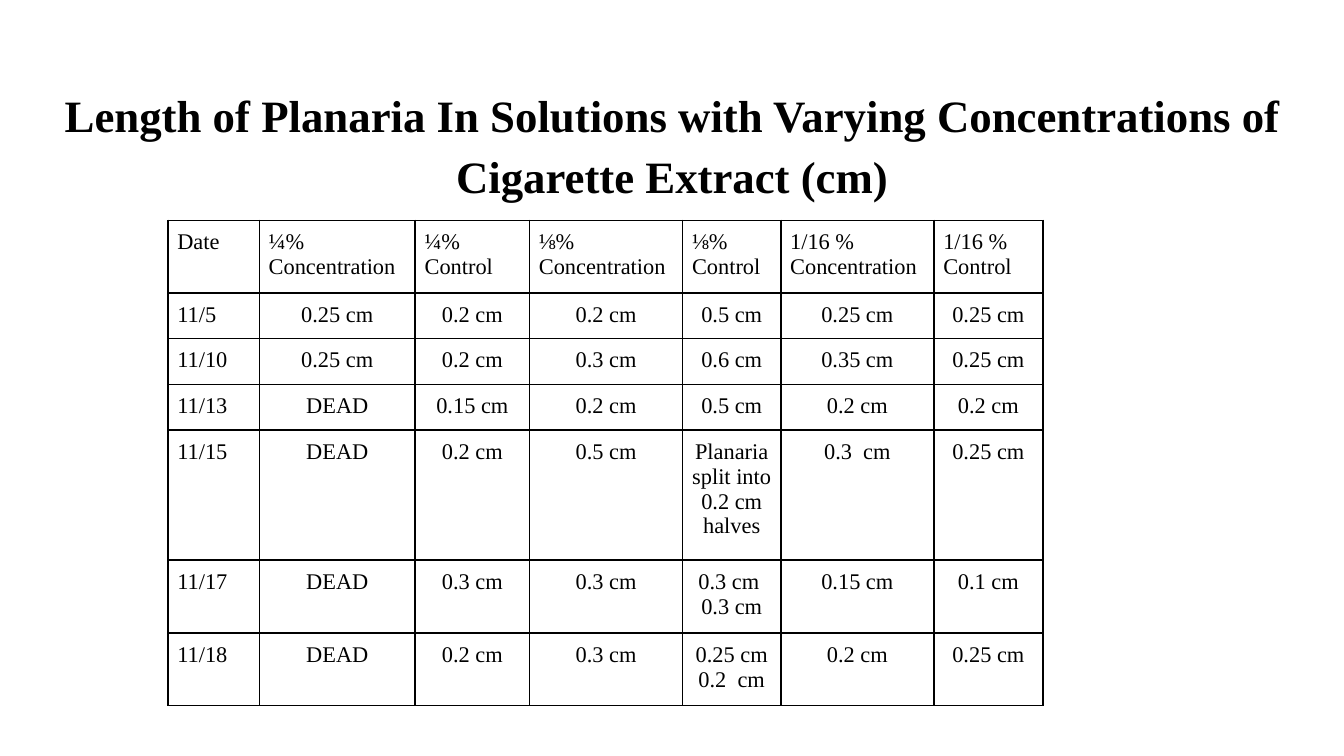
from pptx import Presentation
from pptx.dml.color import RGBColor
from pptx.enum.text import MSO_ANCHOR, PP_ALIGN
from pptx.oxml import parse_xml
from pptx.oxml.ns import nsdecls
from pptx.util import Inches, Pt

COLORS = {"ink": "000000", "paper": "FFFFFF"}
FONT = "Times New Roman"


def write(para, text, size, bold=False):
    """Add one styled run to a paragraph."""
    run = para.add_run()
    run.text = text
    run.font.name = FONT
    run.font.size = Pt(size)
    run.font.bold = bold
    run.font.color.rgb = RGBColor.from_string(COLORS["ink"])


def border(cell):
    """Draw a thin line on all four sides of a cell."""
    props = cell._tc.get_or_add_tcPr()
    for spot, side in enumerate(("lnL", "lnR", "lnT", "lnB")):
        line = parse_xml(
            f'<a:{side} {nsdecls("a")} w="{Pt(1)}"><a:solidFill>'
            f'<a:srgbClr val="{COLORS["ink"]}"/></a:solidFill></a:{side}>')
        props.insert(spot, line)


deck = Presentation()
deck.slide_width = Inches(10)
deck.slide_height = Inches(10 * 9 / 16)
slide = deck.slides.add_slide(deck.slide_layouts[6])

title = slide.shapes.add_textbox(Inches(0.34), Inches(0.49), Inches(9.32), Inches(0.63))
frame = title.text_frame
frame.word_wrap = True
frame.vertical_anchor = MSO_ANCHOR.TOP
frame.margin_left = frame.margin_right = Inches(0.1)
frame.margin_top = frame.margin_bottom = Inches(0.1)
head = frame.paragraphs[0]
head.alignment = PP_ALIGN.CENTER
head.line_spacing = 1.15
write(head, "Length of Planaria In Solutions with Varying Concentrations of "
      "Cigarette Extract (cm)", 24, True)

# A line break inside a cell starts a new paragraph.
rows = [
    ["Date", "¼% Concentration", "¼% Control", "⅛%\nConcentration", "⅛% Control",
     "1/16 % Concentration", "1/16 % Control"],
    ["11/5", "0.25 cm", "0.2 cm", "0.2 cm", "0.5 cm", "0.25 cm", "0.25 cm"],
    ["11/10", "0.25 cm", "0.2 cm", "0.3 cm", "0.6 cm", "0.35 cm", "0.25 cm"],
    ["11/13", "DEAD", "0.15 cm", "0.2 cm", "0.5 cm", "0.2 cm", "0.2 cm"],
    ["11/15", "DEAD", "0.2 cm", "0.5 cm", "Planaria split into\n0.2 cm halves",
     "0.3  cm", "0.25 cm"],
    ["11/17", "DEAD", "0.3 cm", "0.3 cm", "0.3 cm \n0.3 cm", "0.15 cm", "0.1 cm"],
    ["11/18", "DEAD", "0.2 cm", "0.3 cm", "0.25 cm 0.2  cm", "0.2 cm", "0.25 cm"],
]
widths = [0.68, 1.16, 0.85, 1.14, 0.73, 1.14, 0.81]
# Rows grow to fit their text from these least heights.
heights = [0.01, 0.01, 0.01, 0.01, 0.97, 0.01, 0.32]

grid = slide.shapes.add_table(
    len(rows), len(widths), Inches(1.25), Inches(1.64), Inches(3.28), Inches(3.28))
table = grid.table
table.first_row = table.horz_banding = False
for col, width in zip(table.columns, widths):
    col.width = Inches(width)
for row, height in zip(table.rows, heights):
    row.height = Inches(height)
grid.width = grid.height = Inches(3.28)

for r, row in enumerate(rows):
    for c, text in enumerate(row):
        cell = table.cell(r, c)
        cell.margin_left = cell.margin_right = Inches(0.07)
        cell.margin_top = cell.margin_bottom = Inches(0.07)
        cell.fill.solid()
        cell.fill.fore_color.rgb = RGBColor.from_string(COLORS["paper"])
        border(cell)
        for n, part in enumerate(text.split("\n")):
            body = cell.text_frame
            para = body.add_paragraph() if n else body.paragraphs[0]
            para.alignment = PP_ALIGN.CENTER if r and c else PP_ALIGN.LEFT
            write(para, part, 12)

deck.save("out.pptx")
